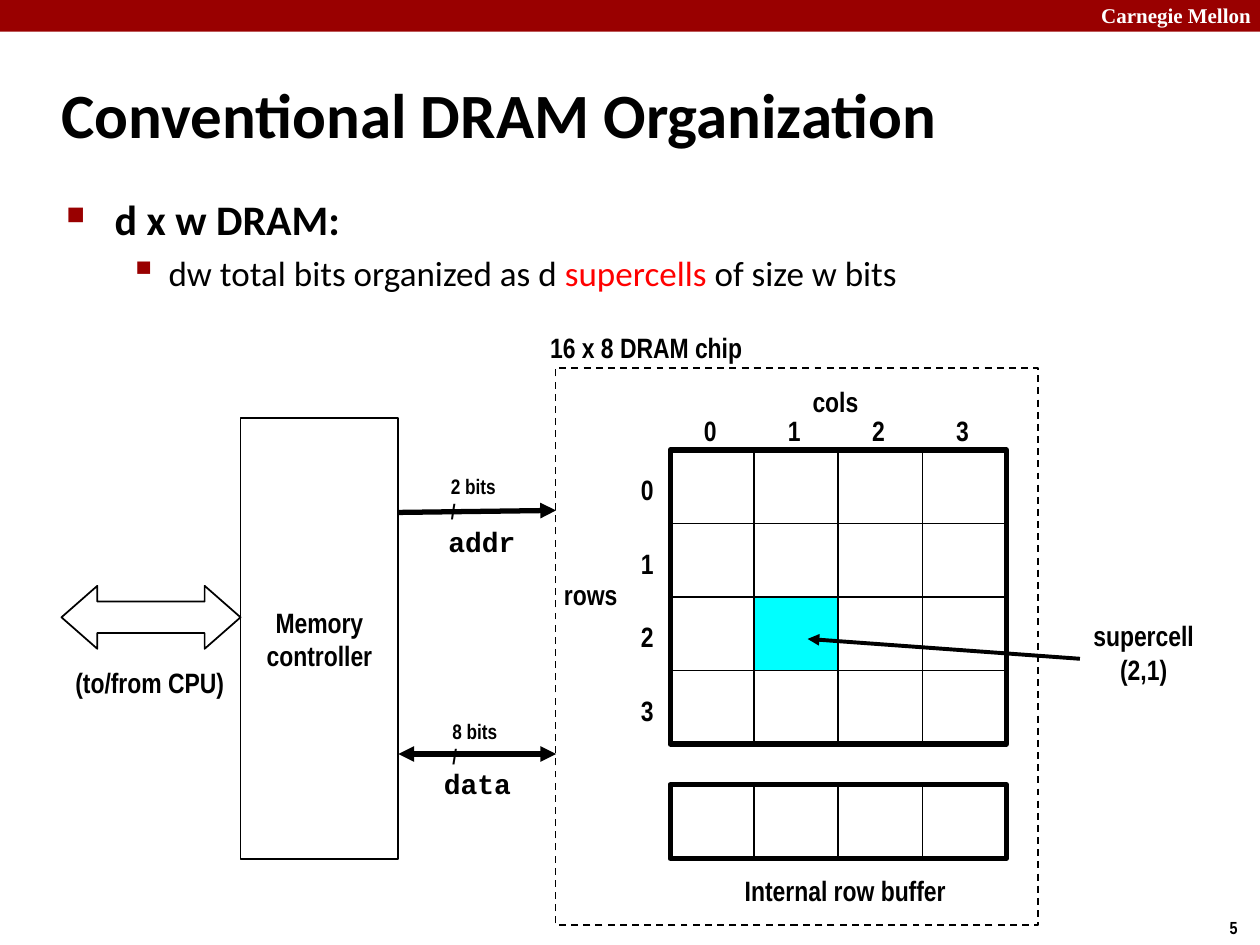
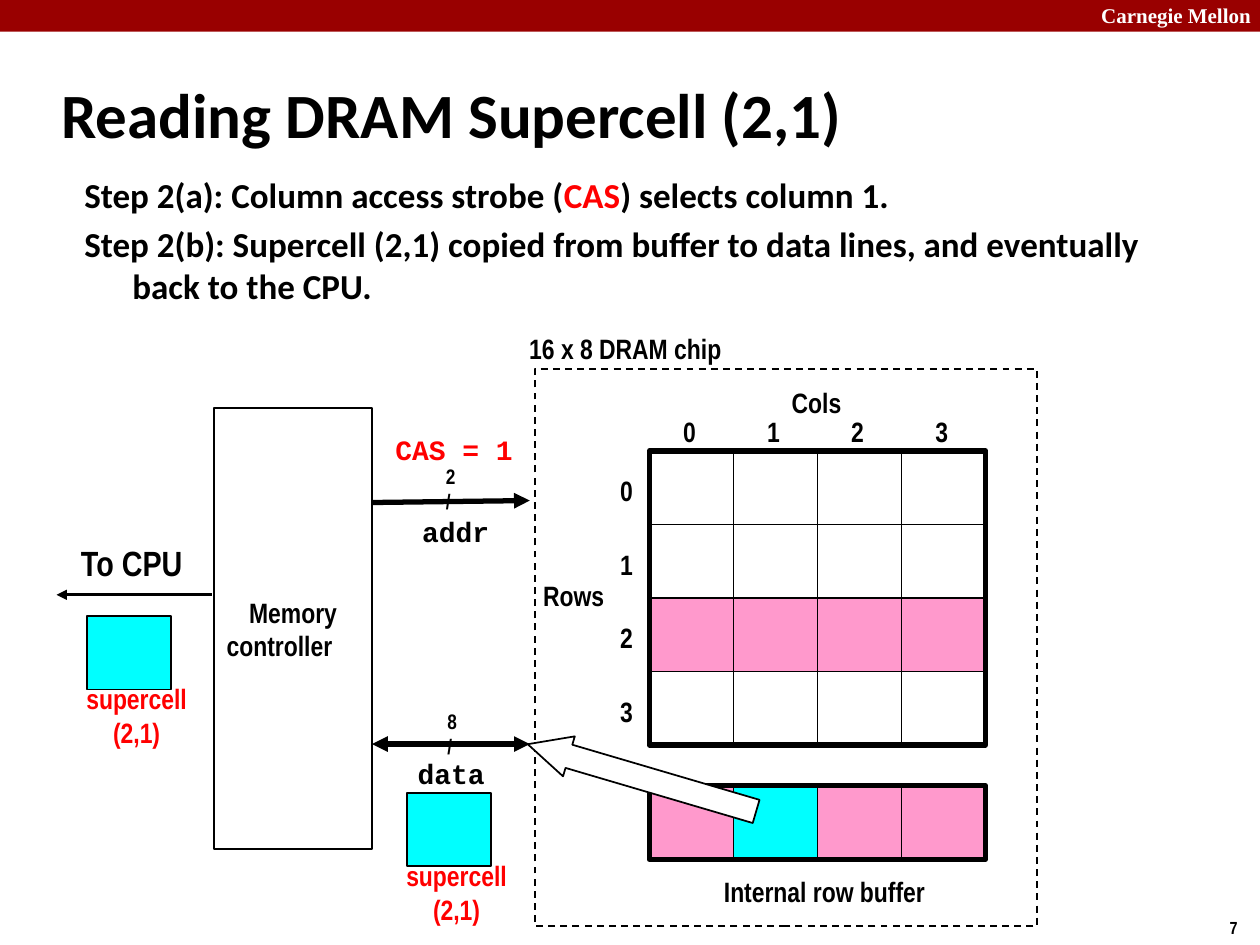
"""Build two slides on how a DRAM chip is organized and read."""
from dataclasses import dataclass

import lxml.etree
import pptx
import pptx.dml.color
import pptx.enum.dml
import pptx.enum.shapes
import pptx.enum.text
import pptx.oxml.ns
import pptx.util

Cm, Pt = pptx.util.Cm, pptx.util.Pt
PRESET = pptx.enum.shapes.MSO_SHAPE
ALIGN = pptx.enum.text.PP_ALIGN
ANCHOR = pptx.enum.text.MSO_ANCHOR


@dataclass(frozen=True)
class Theme:
    band: str = "990000"
    ink: str = "000000"
    paper: str = "FFFFFF"
    accent: str = "FF0000"
    supercell: str = "00FFFF"
    row: str = "FF99CC"
    title: tuple = ("Calibri", 36)
    heading: tuple = ("Calibri", 24)
    body: tuple = ("Calibri", 20)
    diagram: tuple = ("Arial Narrow", 16)
    signal: tuple = ("Courier New", 16)
    width_note: tuple = ("Arial Narrow", 12)
    destination: tuple = ("Arial Narrow", 20)
    brand: tuple = ("Times New Roman", 12)
    page: tuple = ("Arial Narrow", 10)
    thin: float = 1
    pointer: float = 2.25
    thick: float = 3


THEME = Theme()
SIZE = (25.4, 19.05)
BRAND = "Carnegie Mellon"
SUPERCELL = ["supercell", "(2,1)"]
CELLS = 4
GRID_W, GRID_H = 6.78, 5.93
CELL_W, CELL_H = GRID_W / CELLS, GRID_H / CELLS
LINE_H = 0.94
CONTROLLER_W, CONTROLLER_H = 3.18, 8.89
BUS_W = 3.18

ORGANIZATION = dict(
    page="5",
    title="Conventional DRAM Organization",
    body_box=(1.09, 3.78, 21.95, 13.82),
    body=[
        dict(style=THEME.heading, bold=True, margin=0.97, hang=0.97, bullet=("■", 60),
             runs=[("d x w DRAM:", THEME.ink)]),
        dict(style=THEME.body, bold=False, margin=2.06, hang=0.79, bullet=("▪", 110),
             runs=[("dw total bits organized as d ", THEME.ink), ("supercells", THEME.accent),
                   (" of size w bits", THEME.ink)]),
    ],
    grid=(13.51, 9.07),
    chip_w=9.73,
    axes=[("cols", 1.65), ("rows", 1.85)],
    cell_fills={(2, 1): THEME.supercell},
    buffer_fills=[THEME.paper] * CELLS,
    controller=(4.85, 8.43),
    controller_text=[("Memory", ALIGN.CENTER), ("controller", ALIGN.CENTER)],
    bus_notes=[("2 bits", 0.81, 1.63), ("8 bits", 0.84, 1.63)],
)

READING = dict(
    page="7",
    title="Reading DRAM Supercell (2,1)",
    body_box=(1.45, 3.38, 22.48, 2.97),
    body=[
        dict(style=THEME.body, bold=True, margin=0.97, hang=0.97, bullet=None, runs=runs)
        for runs in (
            [("Step 2(a): Column access strobe (", THEME.ink), ("CAS", THEME.accent),
             (") selects column 1.", THEME.ink)],
            [("Step 2(b): Supercell (2,1) copied from buffer to data lines, "
              "and eventually back to the CPU.", THEME.ink)],
        )
    ],
    grid=(13.09, 9.09),
    chip_w=10.13,
    axes=[("Cols", 1.52), ("Rows", 1.75)],
    cell_fills={(2, col): THEME.row for col in range(CELLS)},
    buffer_fills=[THEME.row, THEME.supercell, THEME.row, THEME.row],
    controller=(4.32, 8.23),
    controller_text=[("Memory", ALIGN.CENTER), ("controller", ALIGN.LEFT)],
    bus_notes=[("2", 1.24, 0.74), ("8", 1.27, 0.74)],
)

BUSES = [
    dict(name="addr", start=1.9, end=1.86, heads=["tailEnd"], label=(0.76, 2.02), note_y=0.98),
    dict(name="data", start=6.77, end=6.77, heads=["headEnd", "tailEnd"], label=(0.67, 6.89),
         note_y=5.93),
]


def rgb(color):
    return pptx.dml.color.RGBColor.from_string(color)


def add_run(paragraph, text, style, color=THEME.ink, bold=True):
    run = paragraph.add_run()
    run.text = text
    run.font.name, run.font.size = style[0], Pt(style[1])
    run.font.bold = bold
    run.font.color.rgb = rgb(color)


def paragraph_at(frame, index):
    return frame.add_paragraph() if index else frame.paragraphs[0]


def add_box(shapes, box):
    return shapes.add_textbox(*map(Cm, box))


def add_label(shapes, lines, box, style=THEME.diagram, color=THEME.ink,
              align=ALIGN.LEFT, anchor=ANCHOR.MIDDLE):
    frame = add_box(shapes, box).text_frame
    frame.word_wrap = False
    frame.auto_size = pptx.enum.text.MSO_AUTO_SIZE.SHAPE_TO_FIT_TEXT
    frame.vertical_anchor = anchor
    for index, line in enumerate(lines):
        paragraph = paragraph_at(frame, index)
        paragraph.alignment = align
        add_run(paragraph, line, style, color)
    return frame


def add_figure(shapes, preset, box, fill=None, line=THEME.thin):
    figure = shapes.add_shape(preset, *map(Cm, box))
    figure.shadow.inherit = False
    if fill:
        figure.fill.solid()
        figure.fill.fore_color.rgb = rgb(fill)
    else:
        figure.fill.background()
    if line:
        figure.line.color.rgb = rgb(THEME.ink)
        figure.line.width = Pt(line)
    else:
        figure.line.fill.background()
    return figure


def add_arrow(shapes, start, end, width, heads=("tailEnd",)):
    arrow = shapes.add_connector(pptx.enum.shapes.MSO_CONNECTOR.STRAIGHT, *map(Cm, start + end))
    arrow.line.color.rgb = rgb(THEME.ink)
    arrow.line.width = Pt(width)
    properties = arrow._element.spPr
    outline = properties.find(pptx.oxml.ns.qn("a:ln"))
    for head in heads:
        lxml.etree.SubElement(outline, pptx.oxml.ns.qn("a:" + head), type="triangle")
    lxml.etree.SubElement(properties, pptx.oxml.ns.qn("a:effectLst"))


def set_bullet(properties, mark, percent):
    qn = pptx.oxml.ns.qn
    color = lxml.etree.SubElement(properties, qn("a:buClr"))
    lxml.etree.SubElement(color, qn("a:srgbClr"), val=THEME.band)
    lxml.etree.SubElement(properties, qn("a:buSzPct"), val=str(percent * 1000))
    lxml.etree.SubElement(properties, qn("a:buChar"), char=mark)


def add_page(deck, content):
    shapes = deck.slides.add_slide(deck.slide_layouts[6]).shapes
    add_figure(shapes, PRESET.RECTANGLE, (0, 0, SIZE[0], 0.64), THEME.band, line=None)
    add_label(shapes, [BRAND], (21.95, -0.08, 3.63, 0.76), THEME.brand, THEME.paper,
              anchor=ANCHOR.TOP).word_wrap = True
    add_label(shapes, [content["page"]], (24.54, 18.36, 0.86, 0.69), THEME.page,
              anchor=ANCHOR.TOP)
    title = add_box(shapes, (0.99, 1.22, 21.08, 2.11)).text_frame
    title.word_wrap = True
    title.vertical_anchor = ANCHOR.MIDDLE
    add_run(title.paragraphs[0], content["title"], THEME.title)
    add_body(shapes, content)
    add_chip(shapes, content)
    add_controller(shapes, content)
    return shapes


def add_body(shapes, content):
    frame = add_box(shapes, content["body_box"]).text_frame
    frame.word_wrap = True
    for index, point in enumerate(content["body"]):
        paragraph = paragraph_at(frame, index)
        properties = paragraph._p.get_or_add_pPr()
        properties.set("marL", str(Cm(point["margin"])))
        properties.set("indent", str(-Cm(point["hang"])))
        if point["bullet"]:
            set_bullet(properties, *point["bullet"])
        if index:
            paragraph.space_before = Pt(0.2 * point["style"][1])
        for text, color in point["runs"]:
            add_run(paragraph, text, point["style"], color, point["bold"])


def add_cells(shapes, left, top, fills):
    for row, row_fills in enumerate(fills):
        for col, fill in enumerate(row_fills):
            add_figure(shapes, PRESET.RECTANGLE,
                       (left + col * CELL_W, top + row * CELL_H, CELL_W, CELL_H), fill)
    add_figure(shapes, PRESET.RECTANGLE, (left, top, GRID_W, len(fills) * CELL_H),
               line=THEME.thick)


def add_chip(shapes, content):
    left, top = content["grid"]
    (cols, cols_w), (rows, rows_w) = content["axes"]
    outline = add_figure(shapes, PRESET.RECTANGLE,
                         (left - 2.31, top - 1.65, content["chip_w"], 11.23))
    outline.line.dash_style = pptx.enum.dml.MSO_LINE.DASH
    add_label(shapes, ["16 x 8 DRAM chip"], (left - 2.67, top - 2.54, 5.26, LINE_H))
    add_label(shapes, [cols], (left + 2.62, top - 1.45, cols_w, LINE_H))
    add_label(shapes, [rows], (left - 2.39, top + 2.44, rows_w, LINE_H))
    add_cells(shapes, left, top,
              [[content["cell_fills"].get((row, col), THEME.paper) for col in range(CELLS)]
               for row in range(CELLS)])
    for index in range(CELLS):
        add_label(shapes, [str(index)],
                  (left + 0.43 + index * CELL_W, top - 0.87, 0.81, LINE_H))
        add_label(shapes, [str(index)],
                  (left - 0.84, top + 0.33 + index * CELL_H, 0.81, LINE_H))
    add_cells(shapes, left, top + 6.75, [content["buffer_fills"]])
    add_label(shapes, ["Internal row buffer"], (left + 1.22, top + 8.41, 4.62, LINE_H),
              align=ALIGN.CENTER)


def add_controller(shapes, content):
    left, top = content["controller"]
    controller = add_figure(shapes, PRESET.RECTANGLE,
                            (left, top, CONTROLLER_W, CONTROLLER_H), THEME.paper)
    frame = controller.text_frame
    frame.word_wrap = True
    frame.vertical_anchor = ANCHOR.MIDDLE
    for index, (line, align) in enumerate(content["controller_text"]):
        paragraph = paragraph_at(frame, index)
        paragraph.alignment = align
        add_run(paragraph, line, THEME.diagram)
    right = left + CONTROLLER_W
    for bus, (note, note_x, note_w) in zip(BUSES, content["bus_notes"]):
        add_arrow(shapes, (right, top + bus["start"]), (right + BUS_W, top + bus["end"]),
                  THEME.thick, bus["heads"])
        label_x, label_y = bus["label"]
        add_label(shapes, [bus["name"]], (right + label_x, top + label_y, 1.88, LINE_H),
                  THEME.signal)
        add_label(shapes, [note, "/"], (right + note_x, top + bus["note_y"], note_w, 1.27),
                  THEME.width_note)


def add_supercell(shapes, left, top):
    group = shapes.add_group_shape().shapes
    add_label(group, SUPERCELL, (left - 0.28, top + 1.19, 2.57, 1.63), color=THEME.accent,
              align=ALIGN.CENTER)
    add_figure(group, PRESET.RECTANGLE, (left, top, CELL_W, CELL_H), THEME.supercell)
    return group


def add_organization(deck):
    shapes = add_page(deck, ORGANIZATION)
    add_label(shapes, SUPERCELL, (21.77, 12.34, 2.57, 1.63), align=ALIGN.CENTER)
    add_arrow(shapes, (21.77, 13.28), (16.28, 12.88), THEME.pointer)
    cpu_link = add_figure(shapes, PRESET.LEFT_RIGHT_ARROW, (1.24, 11.81, 3.61, 1.27),
                          THEME.paper)
    cpu_link.adjustments[0], cpu_link.adjustments[1] = 0.5, 0.57
    add_label(shapes, ["(to/from CPU)"], (1.27, 13.28, 3.56, LINE_H))


def add_reading(deck):
    shapes = add_page(deck, READING)
    add_label(shapes, ["CAS = 1"], (7.72, 8.59, 2.9, LINE_H), THEME.signal, THEME.accent)
    transfer = add_figure(shapes, PRESET.DOWN_ARROW, (12.52, 13.28, 0.84, 4.8), THEME.paper)
    transfer.adjustments[0], transfer.adjustments[1] = 0.58, 1.03
    transfer.rotation = 106.4
    add_supercell(shapes, 8.2, 15.98)
    delivery = add_supercell(shapes, 1.75, 12.42)
    add_arrow(delivery, (4.27, 11.99), (1.14, 11.99), 1.5)
    destination = add_label(delivery, ["To CPU"], (1.5, 10.8, 2.31, 1.12), THEME.destination,
                            anchor=ANCHOR.TOP)
    destination.margin_left = destination.margin_right = Cm(0.13)


def main():
    deck = pptx.Presentation()
    deck.slide_width, deck.slide_height = map(Cm, SIZE)
    add_organization(deck)
    add_reading(deck)
    deck.save("out.pptx")


if __name__ == "__main__":
    main()
